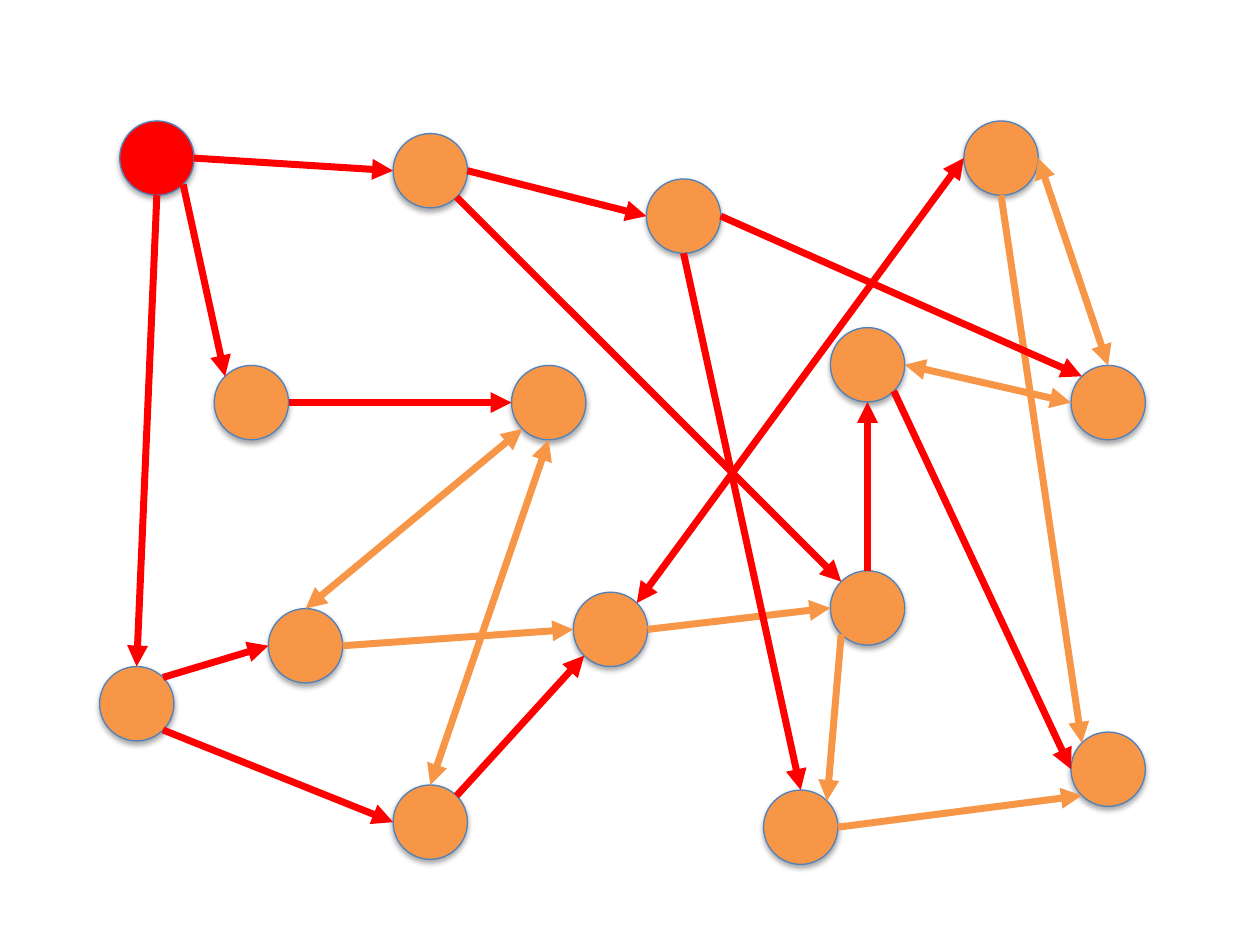
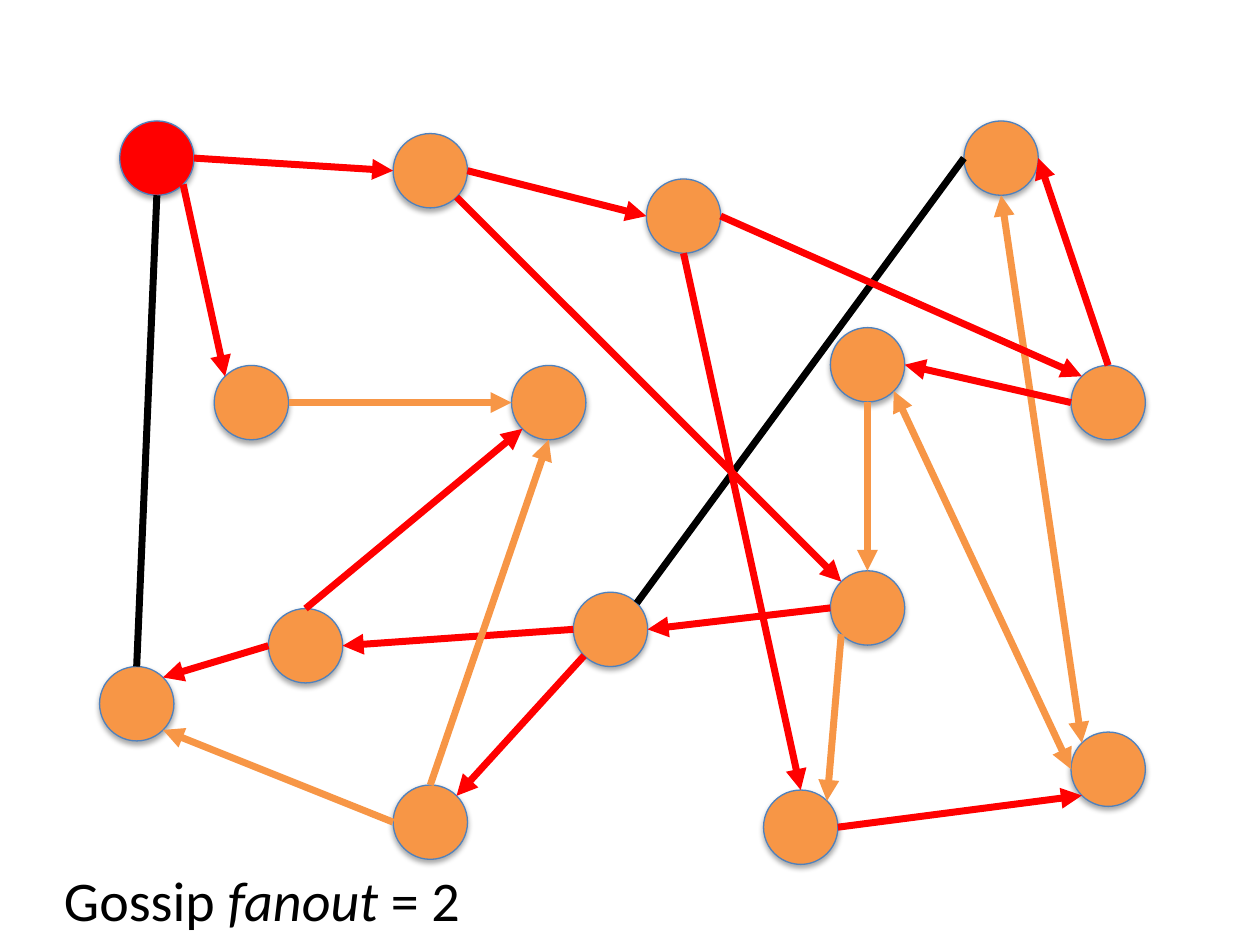
"""Builds two slides of a gossip network whose links change colour and direction."""
from dataclasses import dataclass
from math import cos, radians, sin

from lxml.etree import SubElement
from pptx import Presentation
from pptx.dml.color import RGBColor
from pptx.enum.shapes import MSO_CONNECTOR as Connector, MSO_SHAPE as Shape
from pptx.oxml.ns import qn
from pptx.util import Inches, Pt


@dataclass(frozen=True)
class Theme:
    """Colours, type and measures shared by the slides."""
    red: RGBColor = RGBColor(0xFF, 0x00, 0x00)
    orange: RGBColor = RGBColor(0xF7, 0x96, 0x46)
    black: RGBColor = RGBColor(0x00, 0x00, 0x00)
    outline: RGBColor = RGBColor(0x4F, 0x81, 0xBD)
    font: str = "Calibri"
    caption_size: int = 32
    outline_width: float = 0.75
    link_width: float = 4
    node_size: float = 0.59


THEME = Theme()

SOURCE = "A"
NODES = {
    "A": (0.95, 0.96), "B": (3.12, 1.06), "C": (1.7, 2.9),
    "D": (5.13, 1.42), "E": (4.06, 2.9), "F": (2.13, 4.83),
    "G": (4.55, 4.7), "H": (6.59, 2.6), "I": (7.65, 0.96),
    "J": (8.5, 2.9), "K": (6.59, 4.53), "L": (8.5, 5.81),
    "M": (6.06, 6.27), "N": (3.12, 6.23), "O": (0.79, 5.29),
}

SITE_ANGLES = {
    "right": 0, "bottom right": 45, "bottom": 90, "bottom left": 135,
    "left": 180, "top left": 225, "top": 270, "top right": 315,
}

# Each link: start node and site, end node and site, then its look per slide.
LINKS = [
    ("O", "top", "A", "bottom", "red <", "black -"),
    ("O", "bottom right", "N", "left", "red >", "orange <"),
    ("O", "top right", "F", "left", "red >", "red <"),
    ("F", "right", "G", "left", "orange >", "red <"),
    ("G", "right", "K", "left", "orange >", "red <"),
    ("G", "bottom left", "N", "top right", "red <", "red >"),
    ("E", "bottom", "N", "top", "orange <>", "orange <"),
    ("D", "left", "B", "right", "red <", "red <"),
    ("A", "right", "B", "left", "red >", "red >"),
    ("A", "bottom right", "C", "top left", "red >", "red >"),
    ("E", "left", "C", "right", "red <", "orange <"),
    ("E", "bottom left", "F", "top", "orange <>", "red <"),
    ("I", "bottom", "L", "top left", "orange >", "orange <>"),
    ("I", "left", "G", "top right", "red <>", "black -"),
    ("K", "top left", "B", "bottom right", "red <", "red <"),
    ("M", "top", "D", "bottom", "red <", "red <"),
    ("J", "top left", "D", "right", "red <", "red <"),
    ("J", "top", "I", "right", "orange <>", "red >"),
    ("L", "left", "H", "bottom right", "red <", "orange <>"),
    ("K", "bottom left", "M", "top right", "orange >", "orange >"),
    ("L", "bottom left", "M", "right", "orange <", "red <"),
    ("K", "top", "H", "bottom", "red >", "orange <"),
    ("J", "left", "H", "right", "orange <>", "red >"),
]

CAPTIONS = [None, [("Gossip ", False), ("fanout", True), (" = 2", False)]]


def site_point(node, site):
    """Return the point of a named site on a node's rim."""
    radius = THEME.node_size / 2
    angle = radians(SITE_ANGLES[site])
    left, top = NODES[node]
    return (Inches(left + radius + radius * cos(angle)),
            Inches(top + radius + radius * sin(angle)))


def add_node(slide, node):
    """Draw one node, keeping the soft shadow of the theme."""
    left, top = NODES[node]
    size = Inches(THEME.node_size)
    shape = slide.shapes.add_shape(Shape.OVAL, Inches(left), Inches(top), size, size)
    shape.fill.solid()
    shape.fill.fore_color.rgb = THEME.red if node == SOURCE else THEME.orange
    shape.line.color.rgb = THEME.outline
    shape.line.width = Pt(THEME.outline_width)


def add_link(slide, start, end, look):
    """Draw one link; look holds a colour name and its arrowheads."""
    color, arrows = look.split()
    connector = slide.shapes.add_connector(Connector.STRAIGHT, *start, *end)
    connector.line.color.rgb = getattr(THEME, color)
    connector.line.width = Pt(THEME.link_width)
    properties = connector.element.spPr
    line = properties.find(qn("a:ln"))
    for mark, tag in (("<", "a:headEnd"), (">", "a:tailEnd")):
        if mark in arrows:
            SubElement(line, qn(tag), type="triangle")
    SubElement(properties, qn("a:effectLst"))


def add_caption(slide, runs):
    """Write the caption below the network."""
    box = slide.shapes.add_textbox(Inches(0.41), Inches(6.82), Inches(4.26), Inches(0.64))
    box.text_frame.word_wrap = True
    paragraph = box.text_frame.paragraphs[0]
    paragraph.font.name = THEME.font
    paragraph.font.size = Pt(THEME.caption_size)
    paragraph.font.color.rgb = THEME.black
    for text, italic in runs:
        run = paragraph.add_run()
        run.text = text
        if italic:
            run.font.italic = True


def main():
    """Build and save the presentation."""
    presentation = Presentation()
    presentation.slide_width, presentation.slide_height = Inches(10), Inches(7.5)
    blank_layout = presentation.slide_layouts[6]
    for index, caption in enumerate(CAPTIONS):
        slide = presentation.slides.add_slide(blank_layout)
        for node in NODES:
            add_node(slide, node)
        for start, start_site, end, end_site, *looks in LINKS:
            add_link(slide, site_point(start, start_site),
                     site_point(end, end_site), looks[index])
        if caption:
            add_caption(slide, caption)
    presentation.save("out.pptx")


if __name__ == "__main__":
    main()
